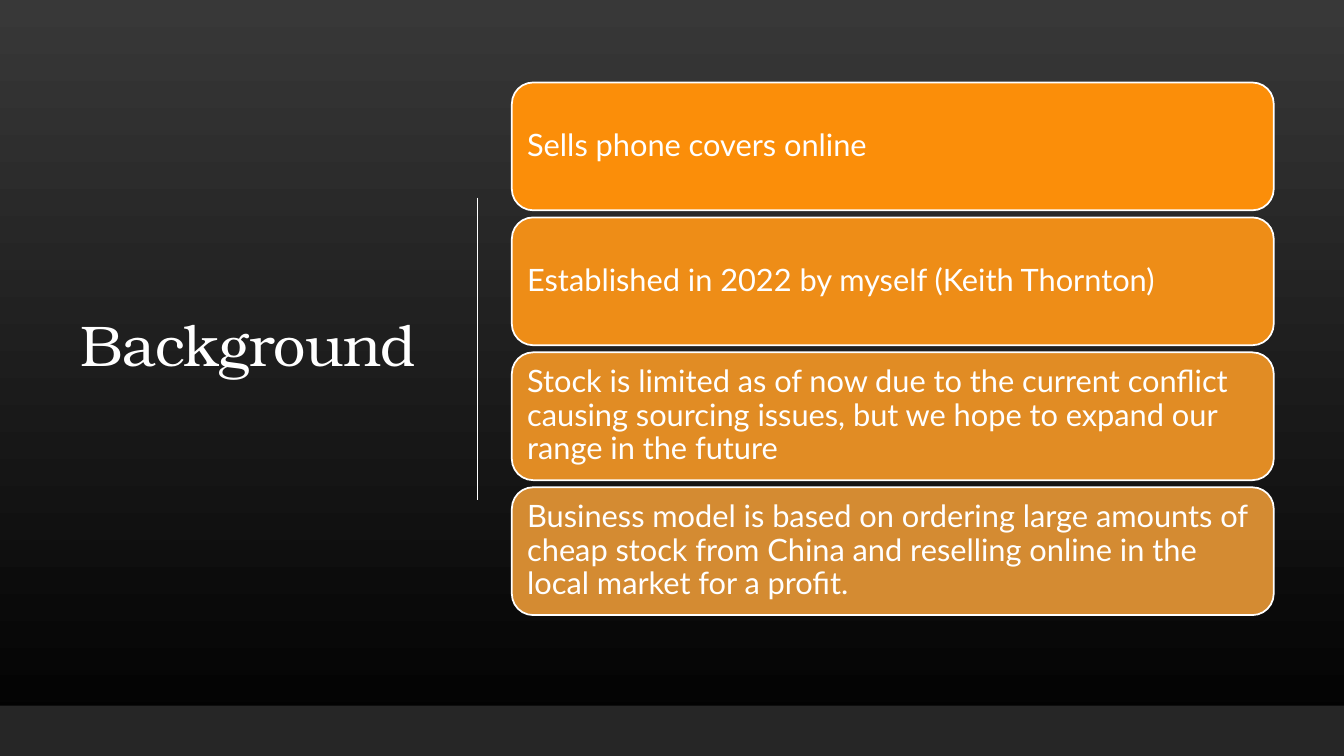
from pptx import Presentation
from pptx.dml.color import RGBColor
from pptx.enum.shapes import MSO_CONNECTOR as Connector, MSO_SHAPE as Shape
from pptx.enum.text import MSO_ANCHOR as Anchor, MSO_AUTO_SIZE as AutoSize, PP_ALIGN as Align
from pptx.oxml.ns import qn
from pptx.util import Cm, Pt
from lxml.etree import SubElement

WIDTH, HEIGHT = 33.87, 19.05
WHITE = "FFFFFF"
FACTS = [
    ("Sells phone covers online", "FB8E09"),
    ("Established in 2022 by myself (Keith Thornton)", "EE8D17"),
    ("Stock is limited as of now due to the current conflict causing sourcing "
     "issues, but we hope to expand our range in the future", "E18C24"),
    ("Business model is based on ordering large amounts of cheap stock from "
     "China and reselling online in the local market for a profit.", "D48B32"),
]
FACT_LEFT, FACT_TOP, FACT_WIDTH, FACT_HEIGHT = 12.9, 2.08, 19.2, 3.22
FACT_PITCH = 3.4
FACT_INSET = 0.23


def color(value):
    return RGBColor.from_string(value)


def set_background(page, first, last):
    fill = page.background.fill
    fill.gradient()
    fill.gradient_angle = 270
    for stop, value in zip(fill.gradient_stops, (first, last)):
        stop.color.rgb = color(value)


def style_paragraph(para, font_name, size):
    para.alignment = Align.LEFT
    para.line_spacing = 0.9
    para.font.name = font_name
    para.font.size = Pt(size)
    para.font.color.rgb = color(WHITE)


def set_title(page, text):
    title = page.shapes.title
    title.left, title.top, title.width, title.height = Cm(1.78), Cm(1.75), Cm(9.37), Cm(14.05)
    frame = title.text_frame
    frame.text = text
    frame.auto_size = AutoSize.NONE
    frame.vertical_anchor = Anchor.MIDDLE
    para = frame.paragraphs[0]
    style_paragraph(para, "TeX Gyre Bonum", 41)
    span = para.runs[0]
    span._r.get_or_add_rPr().set("spc", "-50")


def add_box(page, kind, left, top, width, height, fill):
    box = page.shapes.add_shape(kind, Cm(left), Cm(top), Cm(width), Cm(height))
    box.shadow.inherit = False
    box.fill.solid()
    box.fill.fore_color.rgb = color(fill)
    box.line.fill.background()
    return box


def add_fact(page, top, text, fill):
    box = add_box(page, Shape.ROUNDED_RECTANGLE, FACT_LEFT, top, FACT_WIDTH, FACT_HEIGHT, fill)
    box.line.color.rgb = color(WHITE)
    box.line.width = Pt(1.25)
    frame = box.text_frame
    frame.word_wrap = True
    frame.vertical_anchor = Anchor.MIDDLE
    frame.margin_left = frame.margin_right = Cm(FACT_INSET)
    frame.margin_top = frame.margin_bottom = Cm(FACT_INSET)
    frame.text = text
    para = frame.paragraphs[0]
    style_paragraph(para, "Lato", 22)
    para.space_after = Pt(9)


def add_divider(page, left, top, bottom):
    line = page.shapes.add_connector(Connector.STRAIGHT, Cm(left), Cm(top), Cm(left), Cm(bottom))
    line.line.color.rgb = color(WHITE)
    line.line.width = Pt(1)
    SubElement(line._element.spPr, qn("a:effectLst"))


def main():
    deck = Presentation()
    deck.slide_width, deck.slide_height = Cm(WIDTH), Cm(HEIGHT)
    page = deck.slides.add_slide(deck.slide_layouts.get_by_name("Title Only"))
    set_background(page, "383838", "000000")
    set_title(page, "Background")
    add_divider(page, 12.04, 4.98, 12.6)
    add_box(page, Shape.RECTANGLE, 0, 17.78, WIDTH, HEIGHT - 17.78, "262626")
    for row, (text, fill) in enumerate(FACTS):
        add_fact(page, FACT_TOP + row * FACT_PITCH, text, fill)
    deck.save("out.pptx")


if __name__ == "__main__":
    main()
